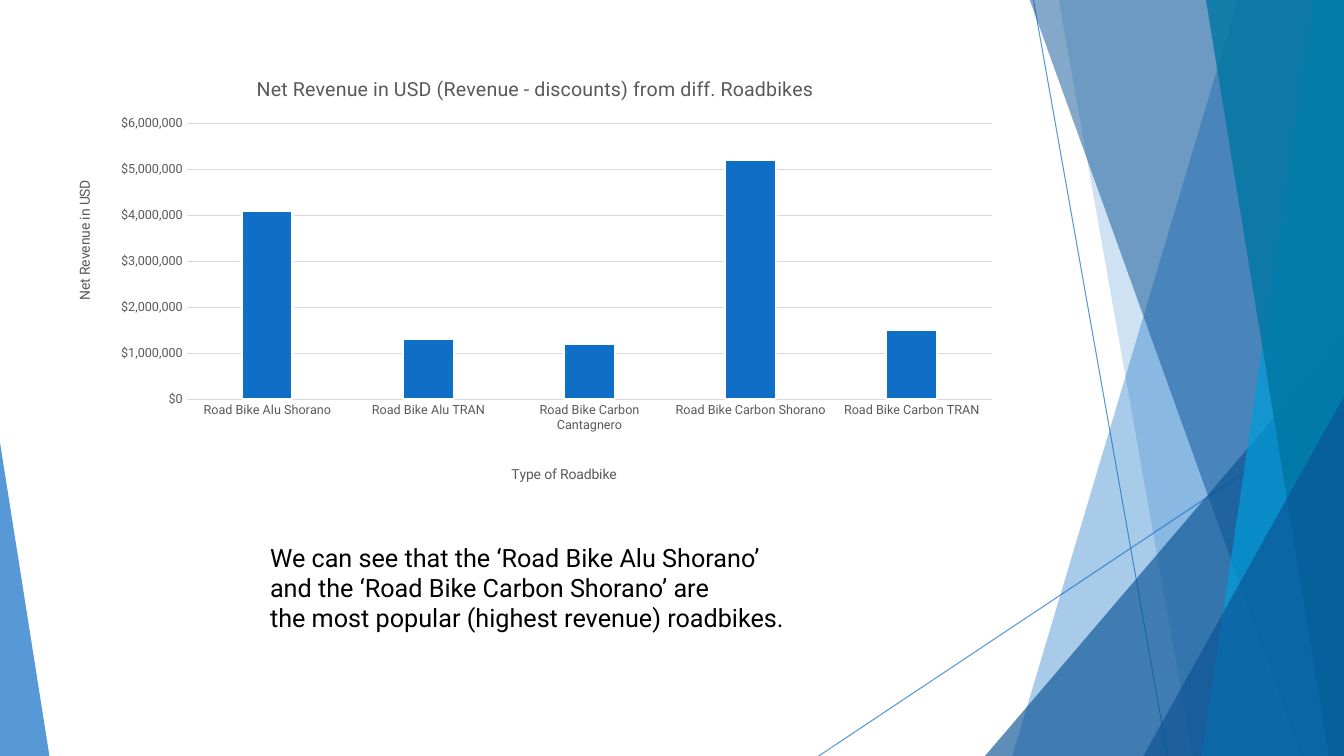
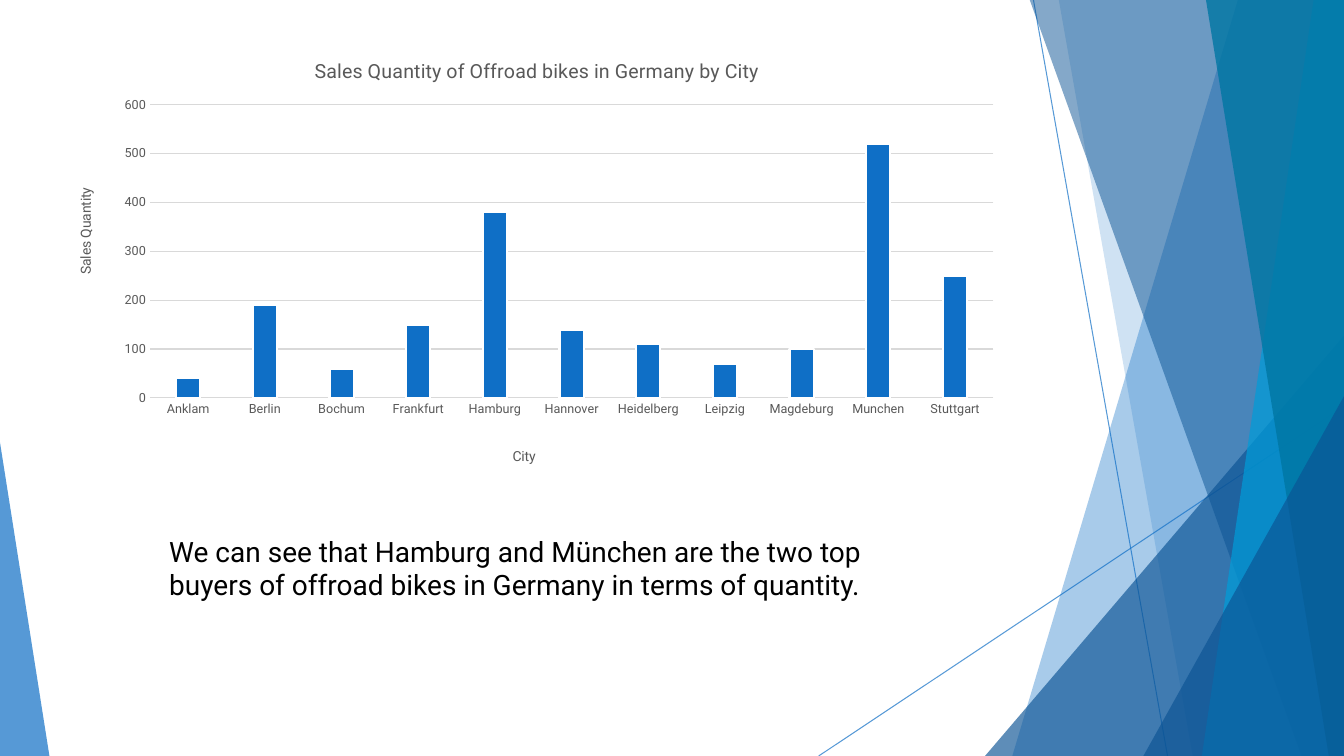
from lxml import etree
from pptx import Presentation
from pptx.chart.data import CategoryChartData
from pptx.dml.color import RGBColor
from pptx.enum.chart import XL_CHART_TYPE, XL_TICK_MARK
from pptx.enum.shapes import MSO_CONNECTOR, MSO_SHAPE
from pptx.enum.text import MSO_AUTO_SIZE
from pptx.oxml.ns import qn
from pptx.util import Inches, Pt

COLUMNS = XL_CHART_TYPE.COLUMN_CLUSTERED
NO_TICK = XL_TICK_MARK.NONE
STRAIGHT = MSO_CONNECTOR.STRAIGHT
TRIANGLE = MSO_SHAPE.ISOSCELES_TRIANGLE
FIT_SHAPE = MSO_AUTO_SIZE.SHAPE_TO_FIT_TEXT

BLUE = RGBColor(0x0F, 0x6F, 0xC6)
NAVY = RGBColor(0x0B, 0x53, 0x94)
CYAN = RGBColor(0x00, 0x9D, 0xD9)
TEAL = RGBColor(0x00, 0x76, 0xA3)
BLACK = RGBColor(0, 0, 0)
WHITE = RGBColor(255, 255, 255)
GRAY = RGBColor(0x59, 0x59, 0x59)
GRID = RGBColor(0xD9, 0xD9, 0xD9)

FONT = "Roboto"
WIDTH, HEIGHT = 13.33, 7.5
BLANK_LAYOUT = 6


# Text and colour
def style_font(font, size, color):
    font.name = FONT
    font.size = Pt(size)
    font.bold = False
    font.color.rgb = color


def write(tf, text, size=18, color=BLACK):
    for i, line in enumerate(text.split("\n")):
        p = tf.paragraphs[0] if i == 0 else tf.add_paragraph()
        r = p.add_run()
        r.text = line
        style_font(r.font, size, color)


def add_text(s, text, left, top, width, height, size):
    tf = s.shapes.add_textbox(Inches(left), Inches(top),
                              Inches(width), Inches(height)).text_frame
    tf.word_wrap = True
    tf.auto_size = FIT_SHAPE
    write(tf, text, size=size)


def set_opacity(sp, percent):
    for color in sp.element.spPr.iter(qn("a:srgbClr")):
        etree.SubElement(color, qn("a:alpha")).set("val", str(percent * 1000))


# Background facets
def paint(sp, color, opacity):
    sp.shadow.inherit = False
    sp.fill.solid()
    sp.fill.fore_color.rgb = color
    sp.line.fill.background()
    set_opacity(sp, opacity)
    return sp


def add_ray(s, x1, y1, x2, y2):
    sp = s.shapes.add_connector(STRAIGHT, Inches(x1), Inches(y1),
                                Inches(x2), Inches(y2))
    sp.line.color.rgb = BLUE
    sp.line.width = Pt(0.75)
    set_opacity(sp, 70)
    etree.SubElement(sp.element.spPr, qn("a:effectLst"))
    return sp


def add_facet(s, top_x, bottom_x, color, opacity):
    """Band from a slanted left edge to the right side of the slide."""
    top = Inches(-0.01)
    right, bottom = Inches(WIDTH), Inches(HEIGHT)
    builder = s.shapes.build_freeform(Inches(top_x), top)
    builder.add_line_segments([(right, top), (right, bottom),
                               (Inches(bottom_x), bottom)])
    return paint(builder.convert_to_shape(), color, opacity)


def add_corner(s, left, top, width, peak, color, opacity):
    """Triangle standing on the bottom edge of the slide."""
    sp = s.shapes.add_shape(TRIANGLE, Inches(left), Inches(top),
                            Inches(width), Inches(HEIGHT - top))
    sp.adjustments[0] = peak
    return paint(sp, color, opacity)


def move_facets_to_layout(s):
    """Draw the shared background and hand it to the slide's layout."""
    facets = [
        add_ray(s, 10.25, 0, 11.58, HEIGHT),
        add_ray(s, WIDTH, 4.03, 8.12, HEIGHT),
        add_facet(s, 12.28, 10.04, BLUE, 36),
        add_facet(s, 10.5, 11.83, BLUE, 20),
        add_corner(s, 9.77, 3.33, 3.56, 1, NAVY, 66),
        add_facet(s, 10.21, 12.91, NAVY, 50),
        add_facet(s, 13.03, 11.92, CYAN, 70),
        add_facet(s, 11.96, 13.18, TEAL, 80),
        add_corner(s, 11.34, 3.93, 1.99, 1, NAVY, 66),
        add_corner(s, 0, 4.39, 0.49, 0, BLUE, 70),
    ]
    for sp in facets:
        s.slide_layout.shapes.element.append(sp.element)


# Chart
def place(parent, index, x, y, w=None, h=None):
    """Give a chart part a fixed place, in fractions of the chart."""
    for old in parent.findall(qn("c:layout")):
        parent.remove(old)
    layout = etree.Element(qn("c:layout"))
    manual = etree.SubElement(layout, qn("c:manualLayout"))
    parts = [("xMode", "edge"), ("yMode", "edge"), ("x", x), ("y", y)]
    if w is not None:
        parts = [("layoutTarget", "inner")] + parts + [("w", w), ("h", h)]
    for tag, val in parts:
        etree.SubElement(manual, qn("c:" + tag)).set("val", str(val))
    parent.insert(index, layout)


def add_title(title, text, size, x, y):
    write(title.text_frame, text, size=size, color=GRAY)
    place(title.element, 1, x, y)


def style_axis(axis):
    axis.major_tick_mark = axis.minor_tick_mark = NO_TICK
    style_font(axis.tick_labels.font, 9, GRAY)


def add_columns(s, left, top, data, title, cat_title, val_title,
                step, number_format, plot_box, title_spots):
    values = CategoryChartData()
    values.categories = list(data)
    values.add_series("Series 1", list(data.values()))
    chart = s.shapes.add_chart(COLUMNS, Inches(left), Inches(top),
                               Inches(9.4), Inches(4.24), values).chart
    style_font(chart.font, 10, BLACK)
    chart.has_legend = False

    # Columns
    plot = chart.plots[0]
    plot.gap_width = 219
    plot.vary_by_categories = False
    series = plot.series[0]
    series.format.fill.solid()
    series.format.fill.fore_color.rgb = BLUE
    series.format.line.color.rgb = WHITE
    series.format.line.width = Pt(1.5)

    # Axes
    cat_axis, val_axis = chart.category_axis, chart.value_axis
    style_axis(cat_axis)
    style_axis(val_axis)
    val_axis.minimum_scale = 0
    val_axis.maximum_scale = 6 * step
    val_axis.major_unit = step
    val_axis.tick_labels.number_format = number_format
    val_axis.tick_labels.number_format_is_linked = False
    val_axis.format.line.fill.background()
    val_axis.has_major_gridlines = True
    for line in (cat_axis.format.line, val_axis.major_gridlines.format.line):
        line.color.rgb = GRID
        line.width = Pt(0.75)

    # Titles and plot area
    title_spot, cat_spot, val_spot = title_spots
    add_title(chart.chart_title, title, 14, *title_spot)
    add_title(cat_axis.axis_title, cat_title, 10, *cat_spot)
    add_title(val_axis.axis_title, val_title, 10, *val_spot)
    for body in val_axis.axis_title.element.iter(qn("a:bodyPr")):
        body.set("rot", "-5400000")
        body.set("vert", "horz")
    place(chart.element.find(".//" + qn("c:plotArea")), 0, *plot_box)


# Slides
def revenue_slide(s):
    revenue = {
        "Road Bike Alu Shorano": 4100000,
        "Road Bike Alu TRAN": 1300000,
        "Road Bike Carbon Cantagnero": 1200000,
        "Road Bike Carbon Shorano": 5200000,
        "Road Bike Carbon TRAN": 1500000,
    }
    add_columns(s, 0.63, 0.59, revenue,
                "Net Revenue in USD (Revenue - discounts) from diff. Roadbikes",
                "Type of Roadbike", "Net Revenue in USD",
                1000000, '"$"#,##0', (0.13, 0.15, 0.85, 0.65),
                [(0.2, 0.03), (0.47, 0.95), (0.01, 0.28)])
    add_text(s, "We can see that the ‘Road Bike Alu Shorano’ and the "
                "‘Road Bike Carbon Shorano’ are \n"
                "the most popular (highest revenue) roadbikes.",
             2.58, 5.33, 5.49, 1.01, 18)


def quantity_slide(s):
    quantity = {
        "Anklam": 40, "Berlin": 190, "Bochum": 60, "Frankfurt": 150,
        "Hamburg": 380, "Hannover": 140, "Heidelberg": 110, "Leipzig": 70,
        "Magdeburg": 100, "Munchen": 520, "Stuttgart": 250,
    }
    add_columns(s, 0.64, 0.41, quantity,
                "Sales Quantity of Offroad bikes in Germany by City",
                "City", "Sales Quantity",
                100, "General", (0.09, 0.15, 0.89, 0.69),
                [(0.26, 0.03), (0.47, 0.95), (0.01, 0.34)])
    add_text(s, "We can see that Hamburg and München are the two top buyers "
                "of offroad bikes in Germany in terms of quantity.",
             1.58, 5.25, 7.53, 0.77, 20)


def main():
    prs = Presentation()
    prs.slide_width, prs.slide_height = Inches(WIDTH), Inches(HEIGHT)
    layout = prs.slide_layouts[BLANK_LAYOUT]
    for i, fill_slide in enumerate((revenue_slide, quantity_slide)):
        s = prs.slides.add_slide(layout)
        if i == 0:
            move_facets_to_layout(s)
        fill_slide(s)
    prs.save("out.pptx")


main()
